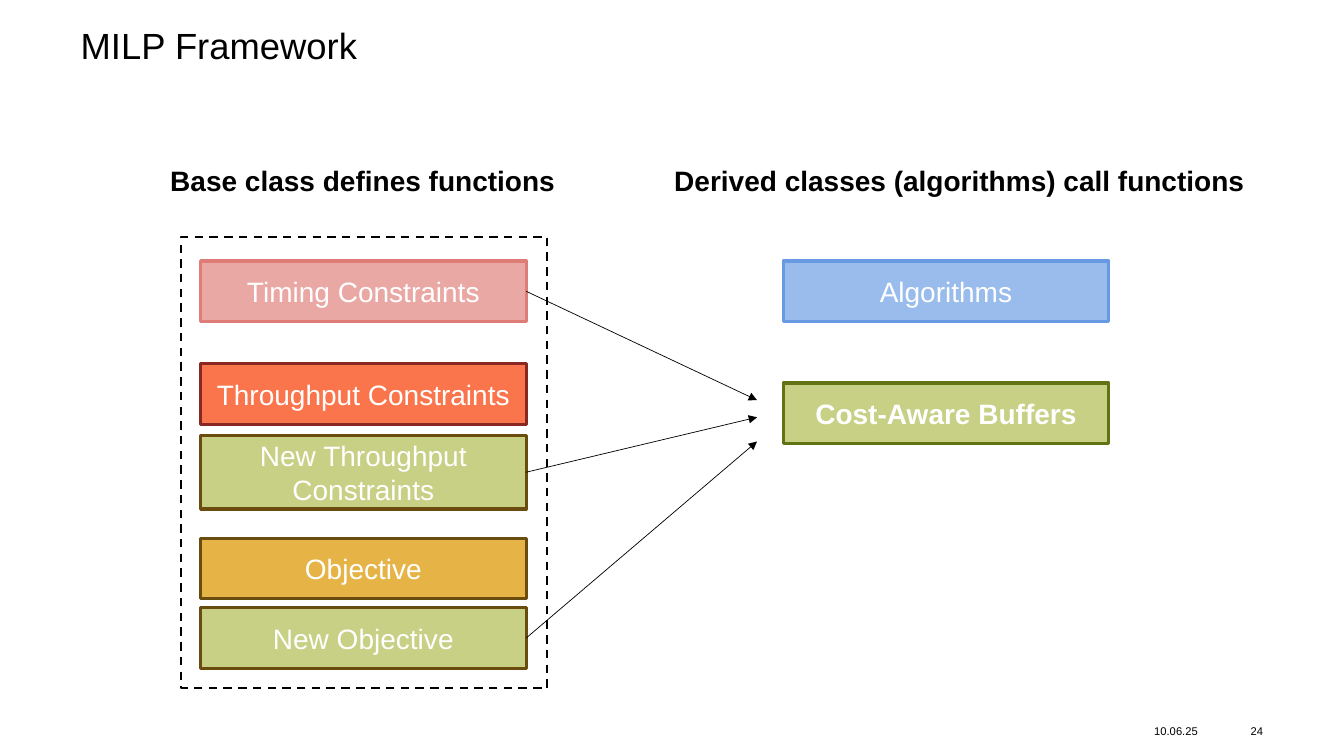
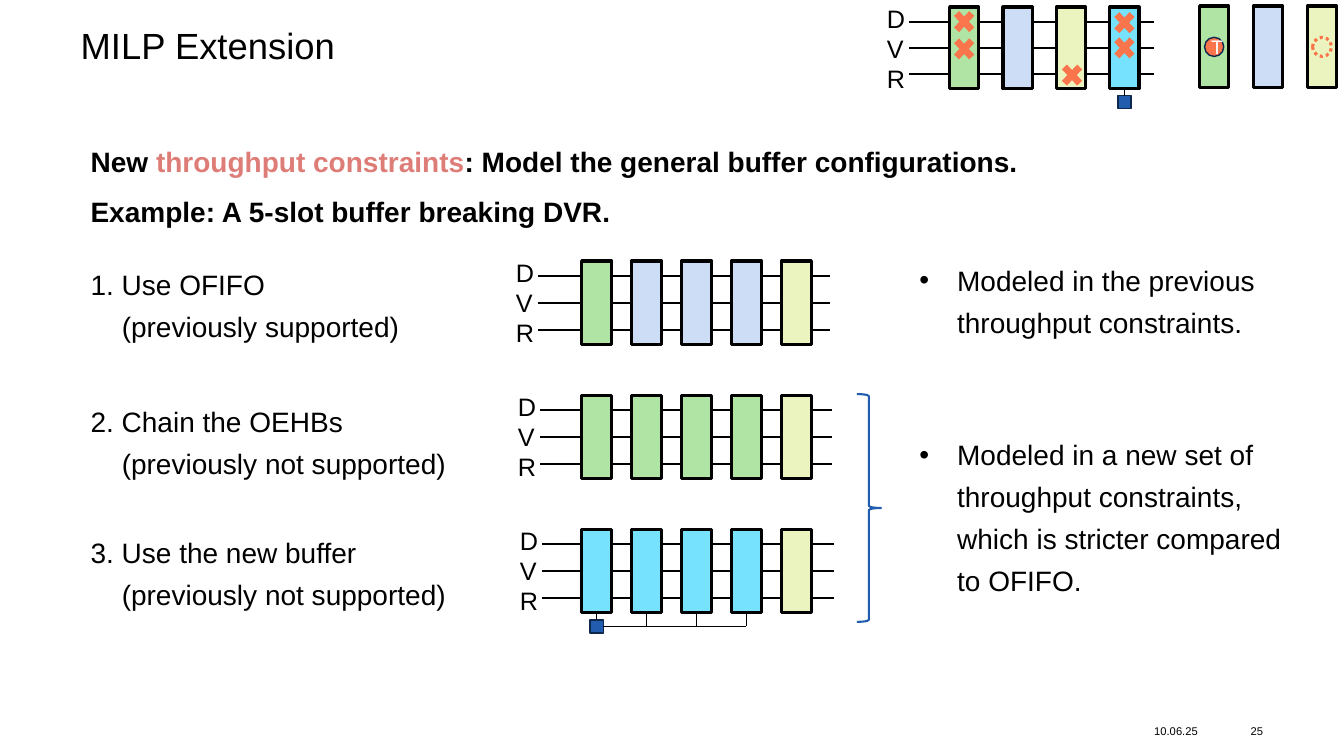
import pptx
import pptx.dml.color
import pptx.enum.dml
import pptx.enum.shapes
import pptx.enum.text
import pptx.oxml.ns
import pptx.util
from lxml import etree

RGBColor = pptx.dml.color.RGBColor
SHAPE = pptx.enum.shapes.MSO_SHAPE
DASH = pptx.enum.dml.MSO_LINE
ALIGN = pptx.enum.text.PP_ALIGN
ANCHOR = pptx.enum.text.MSO_ANCHOR

BLACK = RGBColor(0x00, 0x00, 0x00)
WHITE = RGBColor(0xFF, 0xFF, 0xFF)
ROSE = RGBColor(0xE9, 0xA8, 0xA4)
ROSE_EDGE = RGBColor(0xDE, 0x7D, 0x77)
ORANGE = RGBColor(0xFB, 0x75, 0x4C)
RED_EDGE = RGBColor(0x89, 0x28, 0x22)
AMBER = RGBColor(0xE6, 0xB4, 0x46)
BROWN_EDGE = RGBColor(0x6A, 0x4D, 0x0E)
OLIVE = RGBColor(0xC7, 0xD0, 0x84)
OLIVE_EDGE = RGBColor(0x62, 0x73, 0x13)
SKY = RGBColor(0x99, 0xBC, 0xEC)
SKY_EDGE = RGBColor(0x67, 0x9A, 0xE2)
GREEN = RGBColor(0xB0, 0xE4, 0xA4)
PALE_BLUE = RGBColor(0xCC, 0xDD, 0xF5)
LIME = RGBColor(0xEB, 0xF4, 0xBE)
CYAN = RGBColor(0x76, 0xE2, 0xFE)
BLUE = RGBColor(0x21, 0x5C, 0xAF)
NAVY = RGBColor(0x0E, 0x28, 0x4D)

CELL = pptx.util.Inches(0.1)  # one column or row of the grid
TOP, LEFT, BOTTOM, RIGHT = range(4)
TITLE_ONLY, TWO_CONTENT = 5, 3
NO_MARGINS = dict.fromkeys(("margin_left", "margin_top", "margin_right", "margin_bottom"), 0)
LIST_LINES = {"line_spacing": pptx.util.Pt(30)}


def cells(*counts):
    return [round(count * CELL) for count in counts]


def apply(target, values):
    for name, value in values.items():
        setattr(target, name, value)


class Deck:
    """House style and the slide being filled; all lengths are grid cells."""

    font = "Arial"

    def __init__(self):
        self.presentation = pptx.Presentation()
        self.presentation.slide_width, self.presentation.slide_height = cells(133.33, 75)
        self.slide = None

    def new_slide(self, title, number, layout):
        self.slide = self.presentation.slides.add_slide(self.presentation.slide_layouts[layout])
        self.fill_placeholder(0, (8, 2.8, 117.3, 4), title, 26,
                              {"line_spacing": 0.9, "alignment": ALIGN.LEFT}, NO_MARGINS)
        middle = {"vertical_anchor": ANCHOR.MIDDLE, **NO_MARGINS}
        self.text((114.5, 71.3, 6.7, 2.4), ["10.06.25"], 8, frame=middle)
        self.text((121.8, 71.3, 3.5, 2.4), [str(number)], 8, frame=middle,
                  lines={"alignment": ALIGN.RIGHT})

    def set_words(self, frame, paragraphs, size, color=BLACK, bold=False, lines=None):
        """Each paragraph is a string or a list of (text, colour) runs."""
        for index, content in enumerate(paragraphs):
            paragraph = frame.paragraphs[0] if index == 0 else frame.add_paragraph()
            apply(paragraph, lines or {})
            for words, tint in [(content, color)] if isinstance(content, str) else content:
                run = paragraph.add_run()
                run.text = words
                apply(run.font, {"name": self.font, "size": pptx.util.Pt(size), "bold": bold})
                run.font.color.rgb = tint

    def text(self, area, paragraphs, size=20, bold=False, lines=None, frame=None):
        words = self.slide.shapes.add_textbox(*cells(*area)).text_frame
        apply(words, {"word_wrap": True, **(frame or {})})
        self.set_words(words, paragraphs, size, bold=bold, lines=lines)
        return words

    def fill_placeholder(self, index, area, words, size, lines, frame=None):
        holder = self.slide.placeholders[index]
        apply(holder, dict(zip(("left", "top", "width", "height"), cells(*area))))
        apply(holder.text_frame, {"auto_size": pptx.enum.text.MSO_AUTO_SIZE.NONE,
                                  "vertical_anchor": ANCHOR.TOP, **(frame or {})})
        self.set_words(holder.text_frame, [words], size,
                       lines={"space_before": pptx.util.Pt(0), **lines})

    def shape(self, kind, area, fill=None, edge=None, weight=2.25, dash=None,
              label=None, size=20, bold=False):
        shape = self.slide.shapes.add_shape(kind, *cells(*area))
        shape.shadow.inherit = False
        if fill is None:
            shape.fill.background()
        else:
            shape.fill.solid()
            shape.fill.fore_color.rgb = fill
        if edge is None:
            shape.line.fill.background()
        else:
            shape.line.color.rgb = edge
            apply(shape.line, {"width": pptx.util.Pt(weight), "dash_style": dash})
        if label:
            self.set_words(shape.text_frame, [label], size, WHITE, bold,
                           {"alignment": ALIGN.CENTER})
        return shape

    def line(self, start, end, weight=1, arrow=False):
        """Each end is a grid point (x, y) or a joint (shape, side)."""
        points = [(0, 0) if hasattr(spot[0], "shape_id") else spot for spot in (start, end)]
        connector = self.slide.shapes.add_connector(
            pptx.enum.shapes.MSO_CONNECTOR.STRAIGHT, *cells(*points[0], *points[1]))
        for spot, join in ((start, connector.begin_connect), (end, connector.end_connect)):
            if hasattr(spot[0], "shape_id"):
                join(*spot)
        connector.line.color.rgb = BLACK
        connector.line.width = pptx.util.Pt(weight)
        properties = connector._element.spPr
        if arrow:
            outline = properties.find(pptx.oxml.ns.qn("a:ln"))
            etree.SubElement(outline, pptx.oxml.ns.qn("a:tailEnd"), type="triangle")
        etree.SubElement(properties, pptx.oxml.ns.qn("a:effectLst"))

    def wires(self, left, top, length, gap):
        """Three parallel wires labelled D, V and R."""
        for wire in range(3):
            height = top + wire * gap
            self.line((left, height), (left + length, height), 1.5)
        self.text((left - 3.2, top - 2.4, 5, 10.1), ["D", "V", "R"], 18)

    def slots(self, left, top, pitch, fills, size=(3, 8.3)):
        return [self.shape(SHAPE.RECTANGLE, (left + index * pitch, top, *size), fill, BLACK)
                for index, fill in enumerate(fills)]

    def control(self, slot, top):
        """Small square wired to the bottom of a slot."""
        center = (slot.left + slot.width / 2) / CELL
        square = self.shape(SHAPE.RECTANGLE, (center - 0.65, top, 1.3, 1.3), BLUE, NAVY, 1)
        self.line((slot, BOTTOM), (square, TOP))
        return square


def framework_slide(deck):
    deck.new_slide("MILP Framework", 24, TITLE_ONLY)
    for left, width, heading in (
            (15.9, 40.5, "Base class defines functions"),
            (65.9, 59.5, "Derived classes (algorithms) call functions")):
        deck.text((left, 15.7, width, 4.4), [heading], bold=True, frame={"word_wrap": False})

    base, derived = 19.9, 77.7
    functions = {
        label: deck.shape(SHAPE.RECTANGLE, (left, top, 32.3, height), fill, edge,
                          label=label, bold=bold)
        for left, top, height, fill, edge, label, bold in (
            (base, 25.9, 6, ROSE, ROSE_EDGE, "Timing Constraints", False),
            (base, 36.1, 6, ORANGE, RED_EDGE, "Throughput Constraints", False),
            (base, 43.2, 7.3, OLIVE, BROWN_EDGE, "New Throughput Constraints", False),
            (base, 53.4, 6, AMBER, BROWN_EDGE, "Objective", False),
            (base, 60.3, 6, OLIVE, BROWN_EDGE, "New Objective", False),
            (derived, 25.9, 6, SKY, SKY_EDGE, "Algorithms", False),
            (derived, 38, 6, OLIVE, OLIVE_EDGE, "Cost-Aware Buffers", True))}
    deck.shape(SHAPE.RECTANGLE, (18, 23.5, 36.3, 44.8), edge=BLACK, weight=1.5, dash=DASH.DASH)
    for label, height in (("Timing Constraints", 39.7), ("New Throughput Constraints", 41.4),
                          ("New Objective", 43.8)):
        deck.line((functions[label], RIGHT), (75.1, height), 0.5, arrow=True)


def broken_paths_legend(deck):
    deck.wires(90.2, 2.2, 24.3, 2.55)
    size = (2.9, 8.1)
    types = deck.slots(94.2, 0.7, 5.3, (GREEN, PALE_BLUE, LIME, CYAN), size)
    deck.control(types[-1], 9.5)
    for left, top in ((94.2, 0.6), (94.2, 3.3), (104.9, 5.9), (110.1, 0.7), (110.1, 3.2)):
        deck.shape(SHAPE.MATH_MULTIPLY, (left, top, 2.9, 3.1), ORANGE)
    deck.slots(119, 0.6, 5.35, (GREEN, PALE_BLUE, LIME), size)
    deck.shape(SHAPE.OVAL, (119.5, 3.7, 1.9, 1.9), ORANGE, NAVY, 1, label="T", size=14)
    deck.shape(SHAPE.OVAL, (130.2, 3.7, 1.9, 1.9), edge=ORANGE, dash=DASH.ROUND_DOT)


def extension_slide(deck):
    deck.new_slide("MILP Extension", 25, TWO_CONTENT)
    broken_paths_legend(deck)
    deck.text((8, 13, 107.6, 4.8),
              [[("New ", BLACK), ("throughput constraints", ROSE_EDGE),
                (": Model the general buffer configurations.", BLACK)]],
              bold=True, lines=LIST_LINES)
    deck.text((8, 18, 107.6, 4.8), ["Example: A 5-slot buffer breaking DVR."],
              bold=True, lines=LIST_LINES)

    chains = []
    for row, (top, option, support, inner) in enumerate((
            (25.2, "1. Use OFIFO", "(previously supported)", (GREEN,) + (PALE_BLUE,) * 3),
            (38.8, "2. Chain the OEHBs", "(previously not supported)", (GREEN,) * 4),
            (51.8, "3. Use the new buffer", "(previously not supported)", (CYAN,) * 4))):
        words = deck.text((8, top, 42, 9), [option, support], lines=LIST_LINES)
        words.paragraphs[1]._p.get_or_add_pPr().set("marL", str(cells(3.1)[0]))
        deck.wires(53.4 + 0.2 * row, 27.4 + 13.3 * row, 28.9, 2.65)
        chains.append(deck.slots(57.7, 25.9 + 13.3 * row, 4.95, inner + (LIME,)))

    first, *others = chains[-1][:-1]
    bus = 62.15
    square = deck.control(first, bus - 0.65)
    for slot in others:
        center = (slot.left + slot.width / 2) / CELL
        deck.line((slot, BOTTOM), (center, bus))
    deck.line((square, RIGHT), (center, bus))

    deck.shape(SHAPE.RIGHT_BRACE, (85, 39.1, 2.4, 22.6), edge=BLUE, weight=1.5)
    for index, top, height, remark in (
            (1, 24.8, 9, "Modeled in the previous throughput constraints."),
            (2, 42.1, 17.4, "Modeled in a new set of throughput constraints, "
                            "which is stricter compared to OFIFO.")):
        deck.fill_placeholder(index, (90.2, top, 38.9, height), remark, 20, LIST_LINES)


def main():
    deck = Deck()
    framework_slide(deck)
    extension_slide(deck)
    deck.presentation.save("out.pptx")


if __name__ == "__main__":
    main()
